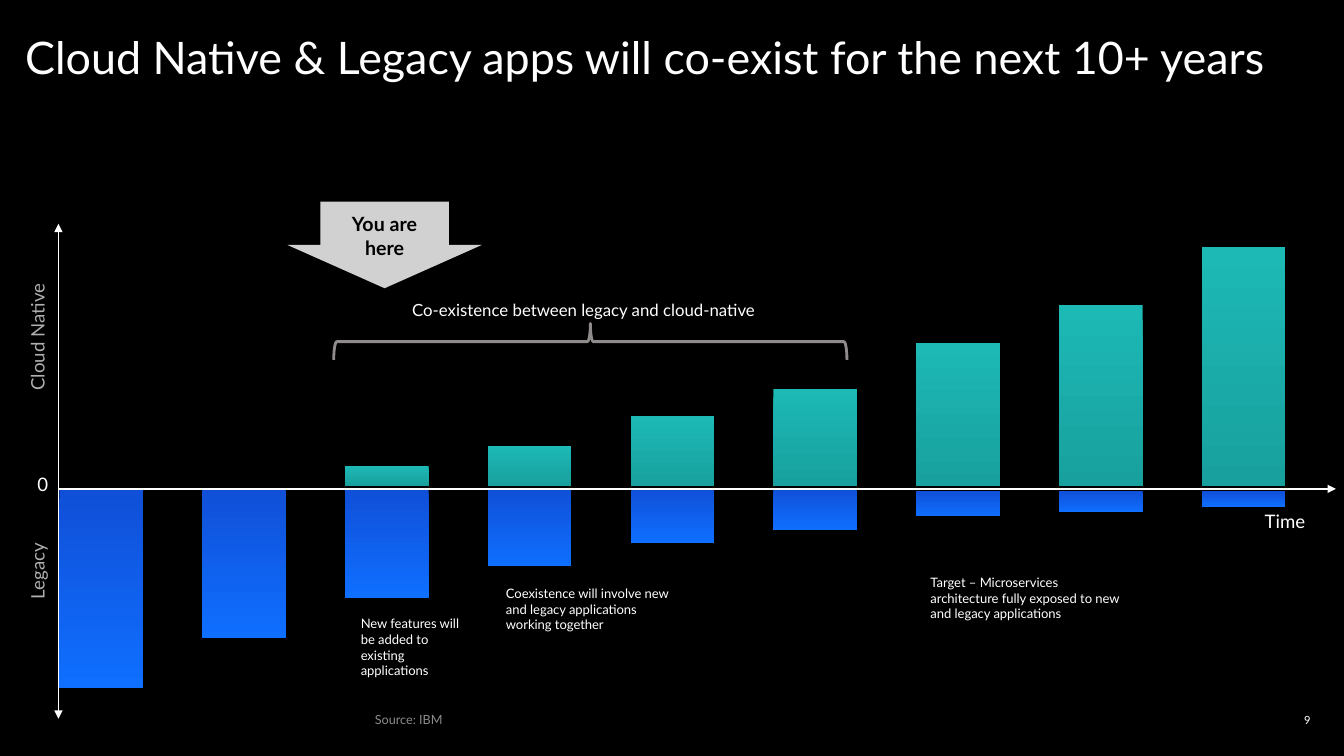
from dataclasses import dataclass

from lxml import etree
from pptx import Presentation
from pptx import util as u
from pptx.dml.color import RGBColor
from pptx.enum import shapes, text
from pptx.oxml.ns import qn


@dataclass(frozen=True)
class Theme:
    font: str = "Lato"
    background: str = "000000"
    light: str = "FFFFFF"
    dark: str = "000000"
    axis_label: str = "B0B0B0"
    muted: str = "8F8B8B"
    arrow: str = "D2D1D1"
    native: tuple = ("1DB9B5", "18A09E")
    legacy: tuple = ("104FD7", "0F6FFF")
    title_size: float = 32
    marker_size: float = 14
    axis_size: float = 13.3
    caption_size: float = 12
    note_size: float = 9.3
    source_size: float = 9
    number_size: float = 8


@dataclass(frozen=True)
class Box:
    left: float
    top: float
    width: float
    height: float

    def inner(self, left, top, width, height):
        """A box placed relative to this one."""
        return Box(self.left + left, self.top + top, width, height)

    def lengths(self):
        return [u.Inches(n) for n in (self.left, self.top, self.width, self.height)]


THEME = Theme()
ALIGN = text.PP_ALIGN
MIDDLE = text.MSO_ANCHOR.MIDDLE

# Height of the cloud native bar, height of the legacy bar, legacy offset from zero
BARS = [
    (0, 1.98, 0), (0, 1.49, -0.01), (0.2, 1.09, -0.01),
    (0.4, 0.78, -0.01), (0.69, 0.55, -0.01), (0.96, 0.42, -0.01),
    (1.42, 0.25, 0.02), (1.79, 0.21, 0.02), (2.37, 0.16, 0.02),
]


def rgb(value):
    return RGBColor.from_string(value)


def write(shape, words, size, color, align=ALIGN.LEFT, bold=False,
          insets=(0.1, 0.05, 0.1, 0.05), anchor=text.MSO_ANCHOR.TOP, wrap=True):
    frame = shape.text_frame
    frame.word_wrap = wrap
    frame.vertical_anchor = anchor
    (frame.margin_left, frame.margin_top,
     frame.margin_right, frame.margin_bottom) = [u.Inches(n) for n in insets]
    frame.text = words
    para = frame.paragraphs[0]
    para.alignment = align
    for span in para.runs:
        span.font.name = THEME.font
        span.font.size = u.Pt(size)
        span.font.bold = bold
        span.font.color.rgb = rgb(color)
    return para


def add_text(page, box, words, size, color, rotation=0, **options):
    shape = page.shapes.add_textbox(*box.lengths())
    shape.rotation = rotation
    return write(shape, words, size, color, **options)


def add_plain_shape(page, kind, box):
    shape = page.shapes.add_shape(kind, *box.lengths())
    shape.shadow.inherit = False
    shape.line.fill.background()
    return shape


def add_bar(page, box, colors):
    bar = add_plain_shape(page, shapes.MSO_SHAPE.RECTANGLE, box)
    bar.fill.gradient()
    bar.fill.gradient_angle = 270
    for stop, color in zip(bar.fill.gradient_stops, colors):
        stop.color.rgb = rgb(color)


def add_axis(page, start, end, arrow_ends):
    axis = page.shapes.add_connector(
        shapes.MSO_CONNECTOR.STRAIGHT, *[u.Inches(n) for n in (*start, *end)])
    axis.line.color.rgb = rgb(THEME.light)
    axis.line.width = u.Pt(1)
    line = axis.line._get_or_add_ln()
    for arrow_end in arrow_ends:
        etree.SubElement(line, qn(f"a:{arrow_end}"), type="triangle")
    etree.SubElement(axis._element.spPr, qn("a:effectLst"))


def draw_title(page, box):
    para = add_text(page, box, "Cloud Native & Legacy apps will co-exist for the next 10+ years",
                    THEME.title_size, THEME.light, insets=(0, 0, 0, 0))
    para.line_spacing = 0.9


def draw_bars(page, box, zero):
    """Cloud native bars rise above the zero line, legacy bars hang below it."""
    bar_width = 0.83
    step = (box.width - bar_width) / (len(BARS) - 1)
    for index, (native, legacy, offset) in enumerate(BARS):
        left = index * step
        if native:
            add_bar(page, box.inner(left, zero - 0.03 - native, bar_width, native), THEME.native)
        add_bar(page, box.inner(left, zero + offset, bar_width, legacy), THEME.legacy)


def draw_axes(page, box, zero):
    level = box.top + zero
    right, bottom = box.left + box.width, box.top + box.height
    add_axis(page, (box.left, level), (right, level), ["tailEnd"])
    add_axis(page, (box.left, bottom), (box.left, box.top), ["headEnd", "tailEnd"])

    # Axis labels
    labels = [
        ("Time", (11.77, zero + 0.16, 0.79, 0.33), THEME.light, 0),
        ("0", (-0.4, zero - 0.21, 0.49, 0.33), THEME.light, 0),
        ("Cloud Native", (-0.99, 0.96, 1.57, 0.33), THEME.axis_label, 270),
        ("Legacy", (-0.99, 3.28, 1.57, 0.33), THEME.axis_label, 270),
    ]
    for words, place, color, rotation in labels:
        add_text(page, box.inner(*place), words, THEME.axis_size, color,
                 rotation=rotation, align=ALIGN.CENTER)


def draw_coexistence(page, box):
    # Marker arrow
    arrow = add_plain_shape(page, shapes.MSO_SHAPE.DOWN_ARROW, box.inner(0, 0, 1.93, 0.86))
    arrow.adjustments[0] = 0.661
    arrow.adjustments[1] = 0.5
    arrow.fill.solid()
    arrow.fill.fore_color.rgb = rgb(THEME.arrow)
    write(arrow, "You are\vhere", THEME.marker_size, THEME.dark, align=ALIGN.CENTER,
          bold=True, insets=(0, 0.1, 0, 0), anchor=MIDDLE)

    # Caption over a brace turned on its side
    add_text(page, box.inner(1.14, 0.92, 3.74, 0.3), "Co-existence between legacy and cloud-native",
             THEME.caption_size, THEME.light, wrap=False)
    depth, span = 0.36, 5.09
    brace = add_plain_shape(page, shapes.MSO_SHAPE.LEFT_BRACE, box.inner(
        box.width - (span + depth) / 2, box.height - (span + depth) / 2, depth, span))
    brace.rotation = 90
    brace.fill.background()
    brace.line.color.rgb = rgb(THEME.muted)
    brace.line.width = u.Pt(2)


def draw_notes(page, box):
    notes = [
        ("New features will be added to existing applications", (0, 0.41, 1.28, 0.73)),
        ("Coexistence will involve new and legacy applications working together",
         (1.44, 0.11, 1.9, 0.57)),
        ("Target – Microservices architecture fully exposed to new and legacy applications",
         (5.65, 0, 2.12, 0.57)),
    ]
    for words, place in notes:
        add_text(page, box.inner(*place), words, THEME.note_size, THEME.light)


def draw_footer(page, box):
    add_text(page, box.inner(0, 0, 1.21, 0.25), "Source: IBM", THEME.source_size, THEME.muted)
    add_text(page, box.inner(box.width - 3, 0.03, 3, 0.2), "9", THEME.number_size, THEME.light,
             align=ALIGN.RIGHT, insets=(0, 0, 0, 0), anchor=MIDDLE)


def main():
    deck = Presentation()
    deck.slide_width, deck.slide_height = u.Inches(13.33), u.Inches(7.5)
    page = deck.slides.add_slide(deck.slide_layouts[6])
    page.background.fill.solid()
    page.background.fill.fore_color.rgb = rgb(THEME.background)

    zero = 2.63
    draw_title(page, Box(0.25, 0.35, 12.58, 1.25))
    draw_bars(page, Box(0.59, 2.22, 12.16, 4.91), zero)
    draw_axes(page, Box(0.58, 2.22, 12.67, 4.91), zero)
    draw_coexistence(page, Box(2.85, 2, 5.55, 1.57))
    draw_notes(page, Box(3.48, 5.65, 7.77, 1.14))
    draw_footer(page, Box(3.62, 7.01, 9.38, 0.25))
    deck.save("out.pptx")


if __name__ == "__main__":
    main()
